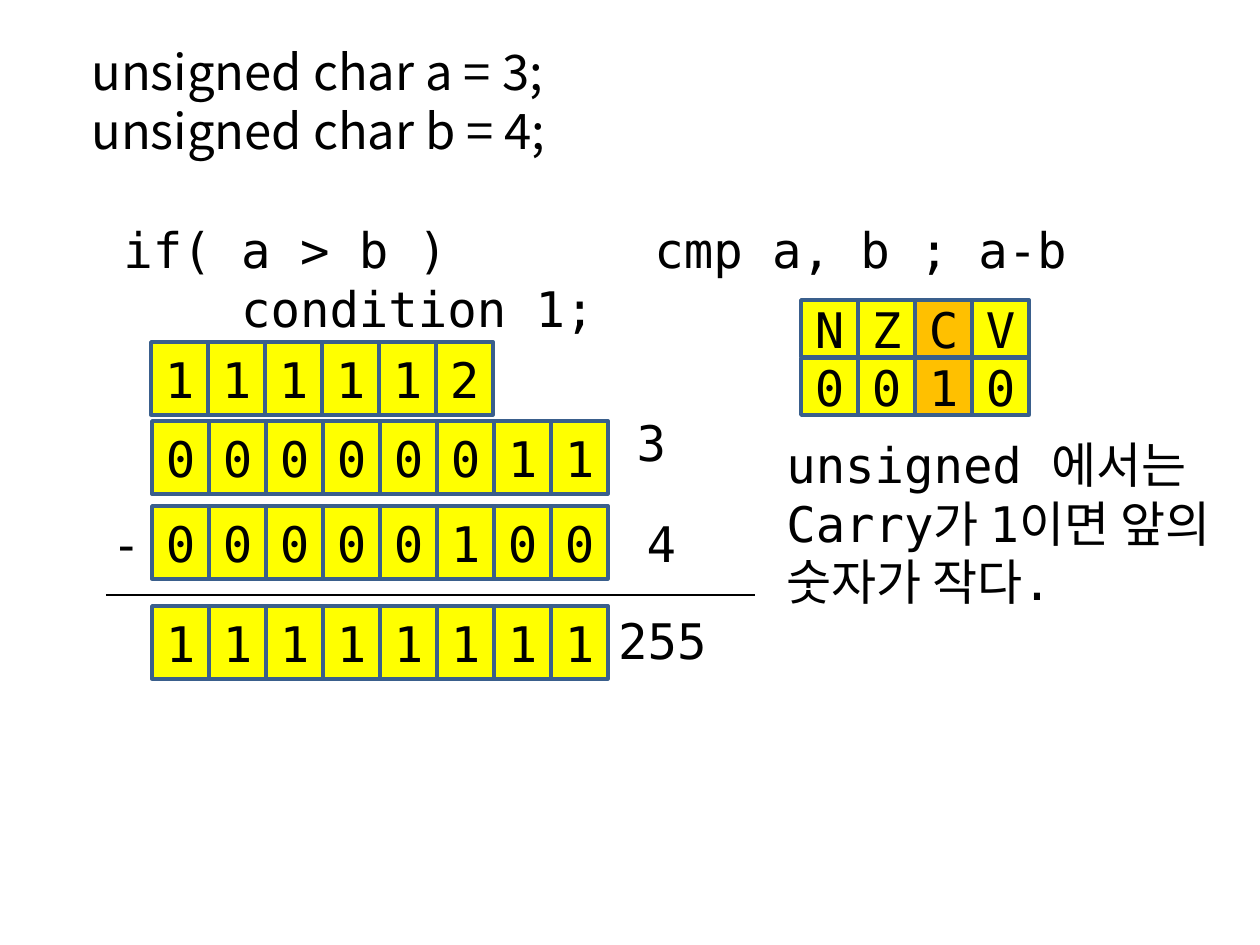
"""Builds a slide on how an unsigned compare sets the carry flag."""
from lxml.etree import SubElement as Sub
from pptx import Presentation as Deck
from pptx.dml.color import RGBColor as Rgb
from pptx.enum.shapes import MSO_CONNECTOR as Conn, MSO_SHAPE as Shape
from pptx.enum.text import MSO_ANCHOR as Anchor, PP_ALIGN as Align
from pptx.oxml.ns import qn
from pptx.util import Pt

SCALE = 914400 / 126
HUES = {"ink": "000000", "bit": "FFFF00", "mark": "FFC000", "edge": "3A5F8C"}
MONO, SANS = "DejaVu Sans Mono", "Noto Sans CJK KR"
STEP = 57


def px(num):
    return round(num * SCALE)


def hue(name):
    return Rgb.from_string(HUES[name])


def style(frame, face=MONO, align=Align.LEFT):
    for par in frame.paragraphs:
        par.alignment = align
        for run in par.runs:
            font = run.font
            font.size, font.name = Pt(28), face
            font.color.rgb = hue("ink")
            Sub(font._element, qn("a:ea")).set("typeface", SANS)


def label(slide, text, left, top, wide, high=89, face=MONO,
          align=Align.LEFT, anchor=Anchor.MIDDLE, wrap=True):
    box = slide.shapes.add_textbox(px(left), px(top), px(wide), px(high))
    frame = box.text_frame
    frame.word_wrap, frame.vertical_anchor = wrap, anchor
    frame.text = text
    style(frame, face, align)
    return frame


def tab(par, pos):
    stops = Sub(par._p.get_or_add_pPr(), qn("a:tabLst"))
    stop = Sub(stops, qn("a:tab"))
    stop.set("pos", str(px(pos)))
    stop.set("algn", "l")


def cells(shapes, text, left, top, high, marks=()):
    for i, char in enumerate(text):
        cell = shapes.add_shape(Shape.RECTANGLE, px(left + i * STEP), px(top),
                                px(STEP), px(high))
        cell.shadow.inherit = False
        cell.fill.solid()
        cell.fill.fore_color.rgb = hue("mark" if i in marks else "bit")
        cell.line.color.rgb = hue("edge")
        cell.line.width = Pt(2)
        cell.text_frame.text = char
        cell.text_frame.vertical_anchor = Anchor.MIDDLE
        style(cell.text_frame, align=Align.CENTER)


def rule(slide, left, right, top):
    line = slide.shapes.add_connector(Conn.STRAIGHT, px(left), px(top),
                                      px(right), px(top))
    line.line.color.rgb = hue("ink")
    line.line.width = Pt(0.75)
    Sub(line._element.spPr, qn("a:effectLst"))


def main():
    deck = Deck()
    deck.slide_width, deck.slide_height = px(1260), px(945)
    slide = deck.slides.add_slide(deck.slide_layouts[6])

    label(slide, "unsigned char a = 3;\nunsigned char b = 4;", 79, 35, 499, 131,
          face=SANS, anchor=Anchor.TOP, wrap=False)
    code = label(slide, "if( a > b )\tcmp a, b ; a-b\n    condition 1;",
                 111, 234, 1063)
    tab(code.paragraphs[0], 531)

    for bits, top in (("00000011", 421), ("00000100", 506), ("11111111", 606)):
        cells(slide.shapes, bits, 152, top, 73)
    for text, left, top in (("3", 582, 397), ("4", 592, 498),
                            ("-", 57, 498), ("255", 593, 595)):
        label(slide, text, left, top, 139, align=Align.CENTER)
    rule(slide, 106, 755, 595)

    flags = slide.shapes.add_group_shape()
    for text, top in (("0010", 358), ("NZCV", 300)):
        cells(flags.shapes, text, 801, top, 57, marks=(2,))
    label(slide, "unsigned 에서는 Carry가 1이면 앞의 숫자가 작다.", 774, 478, 527)
    cells(slide.shapes, "111112", 151, 342, 73)
    deck.save("out.pptx")


if __name__ == "__main__":
    main()
